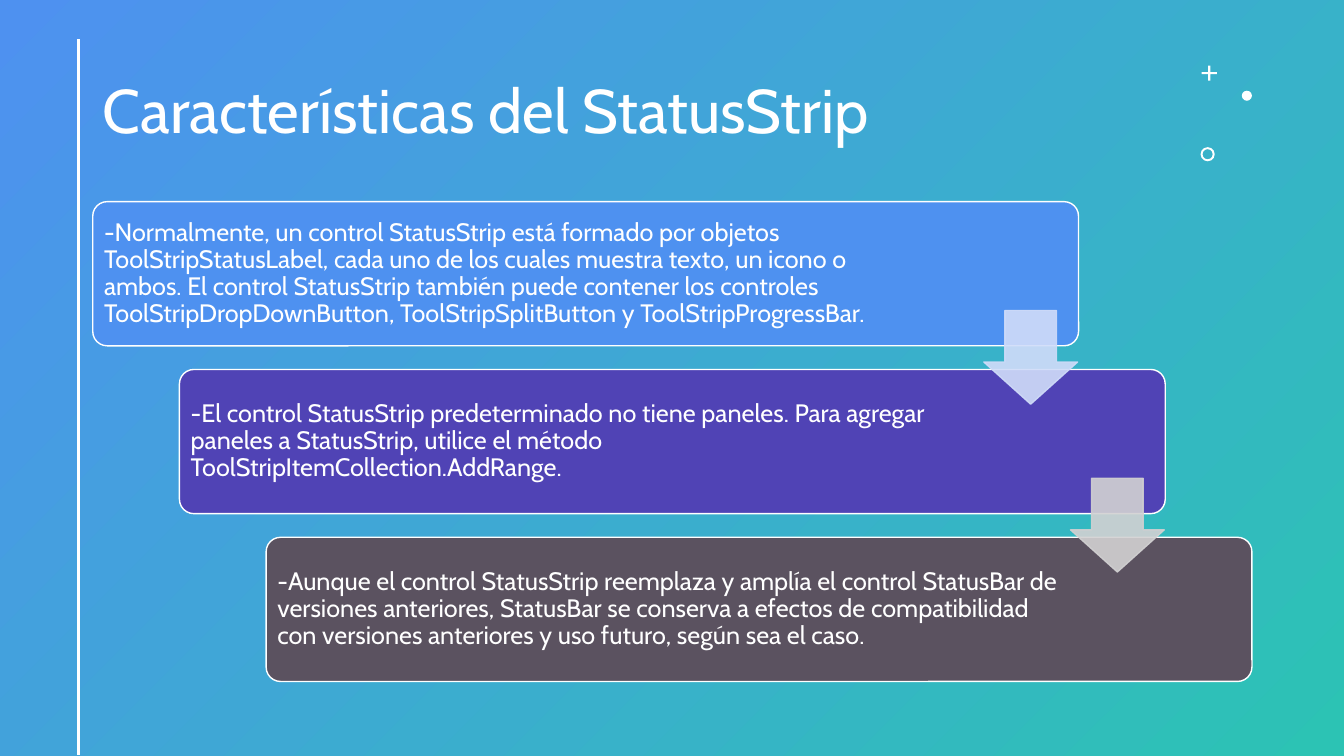
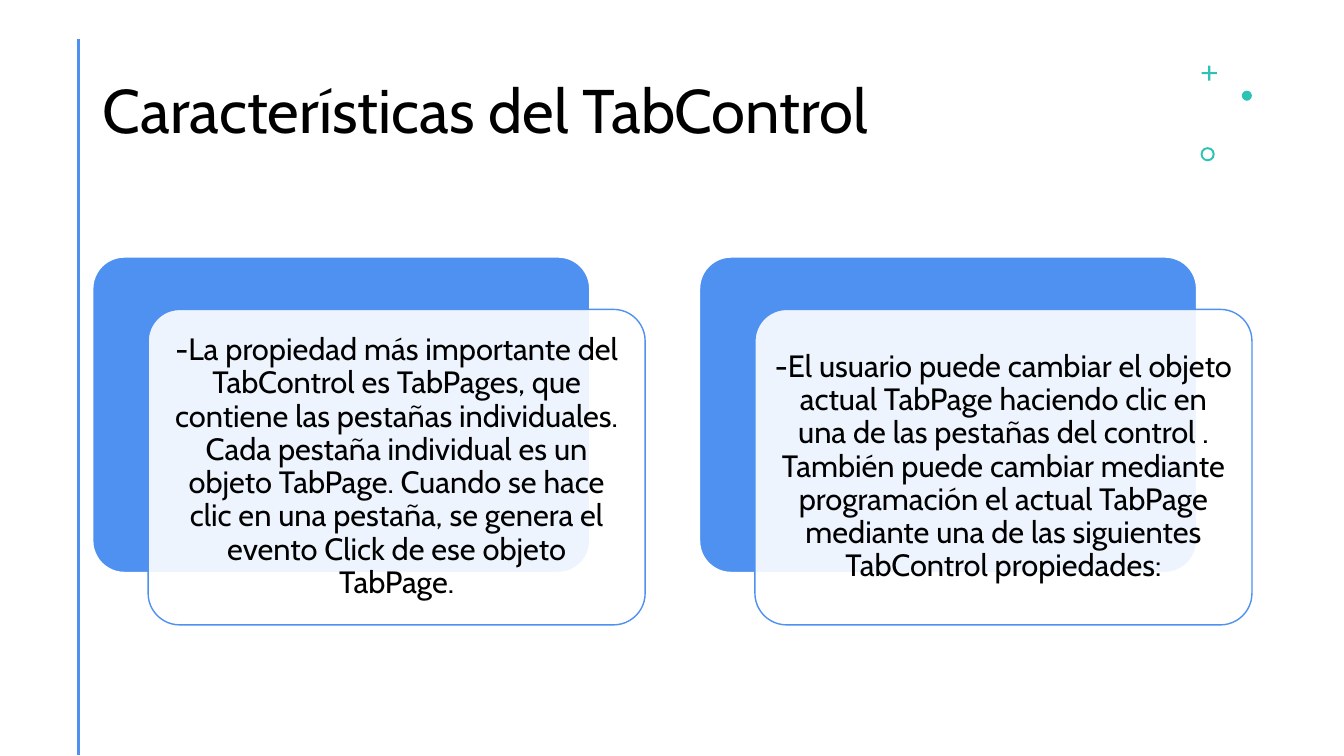
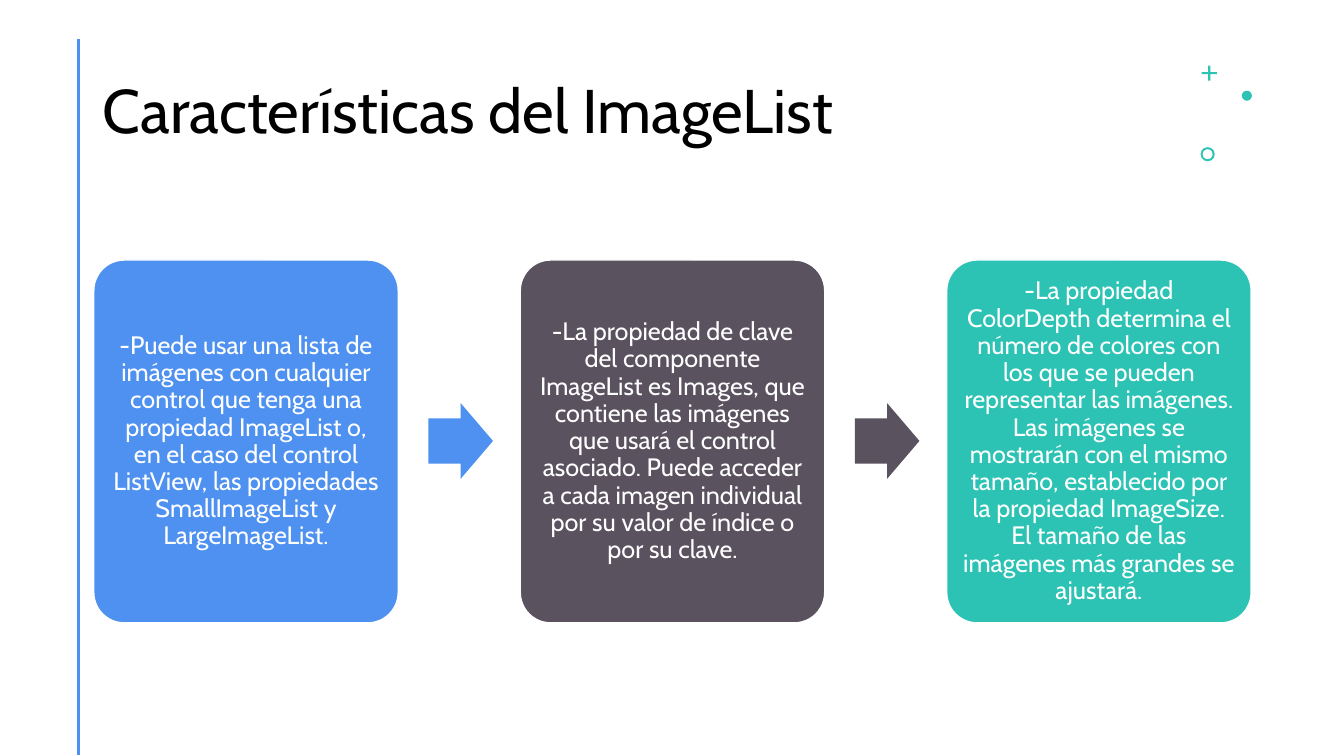
"""Build three slides on the StatusStrip, TabControl and ImageList controls."""
from dataclasses import dataclass
from typing import Optional

from pptx import Presentation
from pptx import util as u
from pptx.dml.color import RGBColor
from pptx.enum import shapes, text
from pptx.oxml.ns import qn
from pptx.oxml.xmlchemy import OxmlElement

MSO = shapes.MSO_SHAPE


@dataclass(frozen=True)
class Theme:
    font: str = "Cabin"
    white: str = "FFFFFF"
    black: str = "000000"
    blue: str = "4E91F0"
    teal: str = "2CC3B4"
    violet: str = "5043B5"
    grey: str = "5B5260"
    pale_blue: str = "D0DCF9"
    pale_grey: str = "D2D1D2"
    title: int = 44
    large: int = 22
    body: int = 18
    rule: int = 2
    outline: int = 1


@dataclass(frozen=True)
class Box:
    """Left, top, width and height as percentages of the slide."""
    x: float
    y: float
    w: float
    h: float

    def moved(self, dx: float = 0, dy: float = 0) -> "Box":
        return Box(self.x + dx, self.y + dy, self.w, self.h)

    def emu(self) -> tuple[int, int, int, int]:
        return across(self.x), down(self.y), across(self.w), down(self.h)


@dataclass(frozen=True)
class Mark:
    kind: MSO
    box: Box
    adj: tuple[float, ...] = ()


@dataclass(frozen=True)
class Card:
    text: str
    fill: str


T = Theme()
TITLE = Box(6.9, 5.33, 80.7, 19.33)
MARKS = (
    Mark(MSO.CROSS, Box(89.4, 8.67, 1.15, 2), (0.43,)),
    Mark(MSO.OVAL, Box(92.4, 12, 0.75, 1.33)),
    Mark(MSO.DONUT, Box(89.33, 19.47, 1.05, 1.87), (0.14,)),
)

STATUS_CARDS = (
    Card("-Normalmente, un control StatusStrip está formado por objetos "
         "ToolStripStatusLabel, cada uno de los cuales muestra texto, un icono o ambos. "
         "El control StatusStrip también puede contener los controles "
         "ToolStripDropDownButton, ToolStripSplitButton y ToolStripProgressBar.", T.blue),
    Card("-El control StatusStrip predeterminado no tiene paneles. Para agregar paneles a "
         "StatusStrip, utilice el método ToolStripItemCollection.AddRange.", T.violet),
    Card("-Aunque el control StatusStrip reemplaza y amplía el control StatusBar de "
         "versiones anteriores, StatusBar se conserva a efectos de compatibilidad con "
         "versiones anteriores y uso futuro, según sea el caso.", T.grey),
)
TAB_TEXTS = (
    "-La propiedad más importante del TabControl es TabPages, que contiene las pestañas "
    "individuales. Cada pestaña individual es un objeto TabPage. Cuando se hace clic en una "
    "pestaña, se genera el evento Click de ese objeto TabPage.",
    "-El usuario puede cambiar el objeto actual TabPage haciendo clic en una de las pestañas "
    "del control . También puede cambiar mediante programación el actual TabPage mediante "
    "una de las siguientes TabControl propiedades:",
)
IMAGE_CARDS = (
    Card("-Puede usar una lista de imágenes con cualquier control que tenga una propiedad "
         "ImageList o, en el caso del control ListView, las propiedades SmallImageList y "
         "LargeImageList.", T.blue),
    Card("-La propiedad de clave del componente ImageList es Images, que contiene las "
         "imágenes que usará el control asociado. Puede acceder a cada imagen individual por "
         "su valor de índice o por su clave.", T.grey),
    Card("-La propiedad ColorDepth determina el número de colores con los que se pueden "
         "representar las imágenes. Las imágenes se mostrarán con el mismo tamaño, "
         "establecido por la propiedad ImageSize. El tamaño de las imágenes más grandes se "
         "ajustará.", T.teal),
)

prs = Presentation()
prs.slide_width, prs.slide_height = u.Inches(13.33), u.Inches(7.5)


def across(share: float) -> int:
    return round(prs.slide_width * share / 100)


def down(share: float) -> int:
    return round(prs.slide_height * share / 100)


def rgb(color: str) -> RGBColor:
    return RGBColor.from_string(color)


def write(tf, content: str, *, size: int = T.body, color: str = T.white,
          center: bool = False, inset: float = 0.07, right: Optional[float] = None) -> None:
    tf.word_wrap = True
    tf.auto_size = text.MSO_AUTO_SIZE.NONE
    tf.vertical_anchor = text.MSO_ANCHOR.MIDDLE
    tf.margin_left = tf.margin_top = tf.margin_bottom = u.Inches(inset)
    tf.margin_right = u.Inches(inset if right is None else right)
    p = tf.paragraphs[0]
    p.alignment = text.PP_ALIGN.CENTER if center else text.PP_ALIGN.LEFT
    p.line_spacing = 0.9
    r = p.add_run()
    r.text = content
    r.font.name, r.font.size = T.font, u.Pt(size)
    r.font.color.rgb = rgb(color)


def draw(s, kind: MSO, box: Box, fill: str, *, line: Optional[str] = None,
         adj: tuple[float, ...] = (), opacity: int = 100):
    sp = s.shapes.add_shape(kind, *box.emu())
    sp.shadow.inherit = False
    for i, value in enumerate(adj):
        sp.adjustments[i] = value
    sp.fill.solid()
    sp.fill.fore_color.rgb = rgb(fill)
    if line:
        sp.line.color.rgb = rgb(line)
        sp.line.width = u.Pt(T.outline)
    else:
        sp.line.fill.background()
    if opacity < 100:
        for clr in sp._element.spPr.iter(qn("a:srgbClr")):
            if clr.get("val") == fill:
                alpha = OxmlElement("a:alpha")
                alpha.set("val", str(opacity * 1000))
                clr.append(alpha)
    return sp


def card(s, box: Box, fill: str, line: str = T.white, opacity: int = 100):
    return draw(s, MSO.ROUNDED_RECTANGLE, box, fill, line=line, adj=(0.1,), opacity=opacity)


def new_slide(title: str, *, ink: str = T.black, rule: str = T.blue, accent: str = T.teal):
    s = prs.slides.add_slide(prs.slide_layouts[5])
    sp = s.shapes.title
    sp.left, sp.top, sp.width, sp.height = TITLE.emu()
    write(sp.text_frame, title, size=T.title, color=ink, inset=0.1)
    edge = s.shapes.add_connector(shapes.MSO_CONNECTOR.STRAIGHT, across(5.85), down(5.2),
                                  across(5.85), down(99.87))
    edge.line.color.rgb = rgb(rule)
    edge.line.width = u.Pt(T.rule)
    edge._element.spPr.append(OxmlElement("a:effectLst"))
    for mark in MARKS:
        draw(s, mark.kind, mark.box, accent, adj=mark.adj)
    return s


def status_strip() -> None:
    s = new_slide("Características del StatusStrip", ink=T.white, rule=T.white, accent=T.white)
    fill = s.background.fill
    fill.gradient()
    fill.gradient_angle = 315
    for stop, color in zip(fill.gradient_stops, (T.blue, T.teal)):
        stop.color.rgb = rgb(color)
    fill.gradient_stops[0].position, fill.gradient_stops[1].position = 0, 1
    dx, dy = 6.45, 22.2
    first, arrow = Box(6.9, 26.67, 73.35, 19.07), Box(73.2, 41.07, 6.98, 12.4)
    for i, item in enumerate(STATUS_CARDS):
        sp = card(s, first.moved(i * dx, i * dy), item.fill)
        write(sp.text_frame, item.text, right=1.87)
    for i, color in enumerate((T.pale_blue, T.pale_grey)):
        draw(s, MSO.DOWN_ARROW, arrow.moved(i * dx, i * dy), color, line=color,
             adj=(0.55, 0.45), opacity=90)


def tab_control() -> None:
    s = new_slide("Características del TabControl")
    first, step = Box(6.9, 34, 36.98, 41.73), 45.15
    for i, content in enumerate(TAB_TEXTS):
        back = first.moved(i * step)
        card(s, back, T.blue)
        sp = card(s, back.moved(4.12, 6.93), T.white, line=T.blue, opacity=90)
        write(sp.text_frame, content, size=T.large, color=T.black, center=True, inset=0.09)


def image_list() -> None:
    s = new_slide("Características del ImageList")
    first, arrow, step = Box(6.98, 34.4, 22.65, 48), Box(31.88, 53.33, 4.8, 10), 31.73
    for i, item in enumerate(IMAGE_CARDS):
        sp = card(s, first.moved(i * step), item.fill)
        write(sp.text_frame, item.text, center=True)
    for i, item in enumerate(IMAGE_CARDS[:-1]):
        draw(s, MSO.RIGHT_ARROW, arrow.moved(i * step), item.fill, adj=(0.6, 0.5))


status_strip()
tab_control()
image_list()
prs.save("out.pptx")
